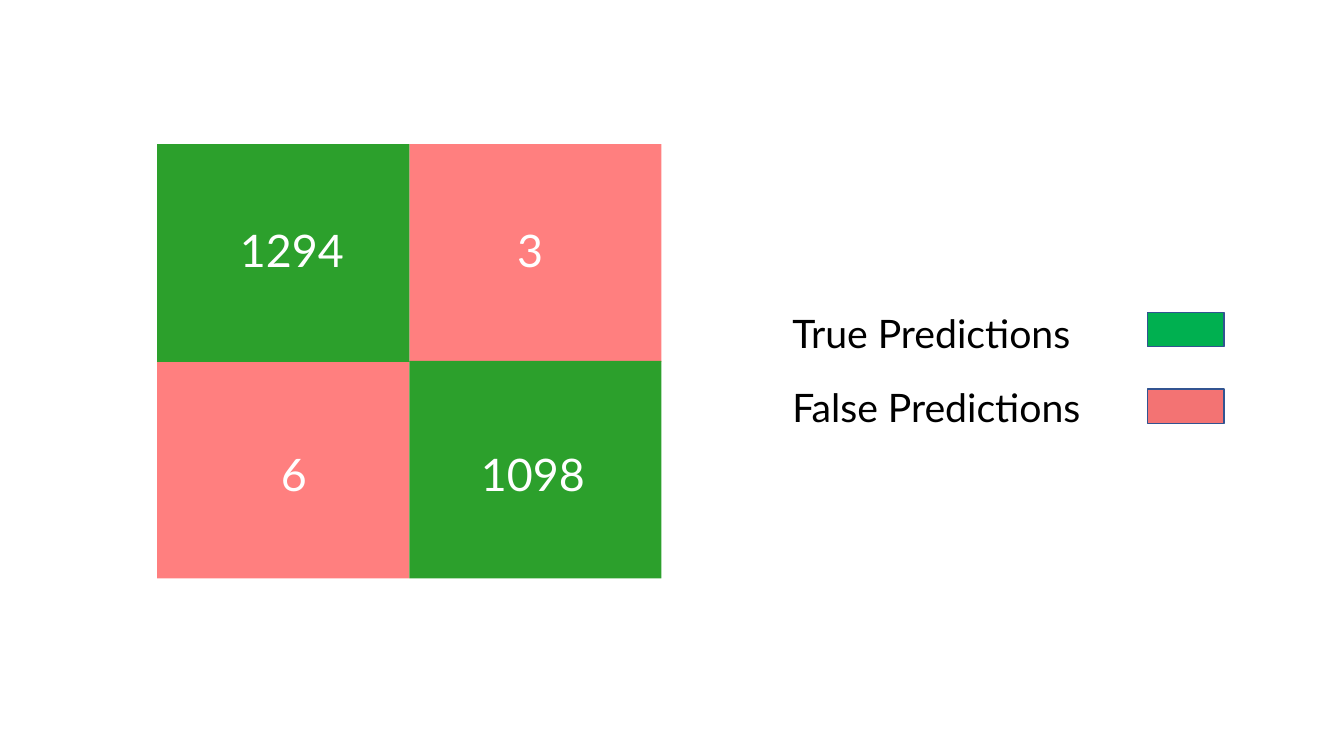
"""Build a slide with a two-by-two confusion matrix and its legend."""
from lxml.etree import SubElement
from pptx import Presentation
from pptx.dml.color import RGBColor
from pptx.enum.shapes import MSO_SHAPE
from pptx.enum.text import MSO_AUTO_SIZE, PP_ALIGN
from pptx.oxml.ns import qn
from pptx.util import Inches, Pt

FONT = "Lato"
WHITE = RGBColor(0xFF, 0xFF, 0xFF)
BLACK = RGBColor(0x00, 0x00, 0x00)
RED = RGBColor(0xFF, 0x00, 0x00)
GREEN = RGBColor(0x2C, 0xA0, 0x2C)
KEY_GREEN = RGBColor(0x00, 0xB0, 0x50)
KEY_RED = RGBColor(0xF3, 0x73, 0x73)
KEY_LINE = RGBColor(0x32, 0x54, 0x91)

LEFT, TOP, CELL_W, CELL_H = 1.56, 1.43, 2.5, 2.16
COUNTS = [
    (0, 1, "3", 5.03, PP_ALIGN.LEFT),
    (1, 0, "6", 2.27, PP_ALIGN.CENTER),
    (0, 0, "1294", 2.28, PP_ALIGN.LEFT),
    (1, 1, "1098", 4.67, PP_ALIGN.LEFT),
]
COUNT_TOPS = [2.16, 4.38]
LEGEND = [
    ("True Predictions", 3.02, 3.44, KEY_GREEN, 3.1),
    ("False Predictions", 3.75, 3.76, KEY_RED, 3.86),
]


def add_rect(s, x, y, w, h, fill, line=None, alpha=None):
    """Add a filled rectangle, optionally outlined or see-through."""
    sp = s.shapes.add_shape(MSO_SHAPE.RECTANGLE, Inches(x), Inches(y), Inches(w), Inches(h))
    sp.shadow.inherit = False
    sp.fill.solid()
    sp.fill.fore_color.rgb = fill
    if alpha is not None:
        clr = sp._element.spPr.find(qn("a:solidFill")).find(qn("a:srgbClr"))
        SubElement(clr, qn("a:alpha")).set("val", str(alpha * 1000))
    if line is None:
        sp.line.fill.background()
    else:
        sp.line.color.rgb = line
        sp.line.width = Pt(1)


def add_text(s, text, x, y, w, h, size, color, align=PP_ALIGN.LEFT):
    """Add a one-line text box."""
    tf = s.shapes.add_textbox(Inches(x), Inches(y), Inches(w), Inches(h)).text_frame
    tf.word_wrap = True
    tf.auto_size = MSO_AUTO_SIZE.SHAPE_TO_FIT_TEXT
    p = tf.paragraphs[0]
    p.alignment = align
    r = p.add_run()
    r.text = text
    r.font.name = FONT
    r.font.size = Pt(size)
    r.font.color.rgb = color


def add_matrix(s):
    """Draw the matrix cells, then their counts."""
    for row, col, *_ in COUNTS:
        fill, alpha = (GREEN, None) if row == col else (RED, 50)
        add_rect(s, LEFT + col * CELL_W, TOP + row * (CELL_H - 0.01), CELL_W, CELL_H, fill, alpha=alpha)
    for row, _, count, x, align in COUNTS:
        add_text(s, count, x, COUNT_TOPS[row], 1.29, 0.64, 32, WHITE, align)


def add_legend(s):
    """Draw the legend labels and colour keys."""
    for label, y, w, fill, key_y in LEGEND:
        add_text(s, label, 7.76, y, w, 0.57, 28, BLACK)
        add_rect(s, 11.38, key_y, 0.76, 0.34, fill, line=KEY_LINE)


def main():
    """Build and save the slide."""
    prs = Presentation()
    prs.slide_width, prs.slide_height = Inches(13.33), Inches(7.5)
    s = prs.slides.add_slide(prs.slide_layouts[6])
    add_matrix(s)
    add_legend(s)
    prs.save("out.pptx")


if __name__ == "__main__":
    main()
